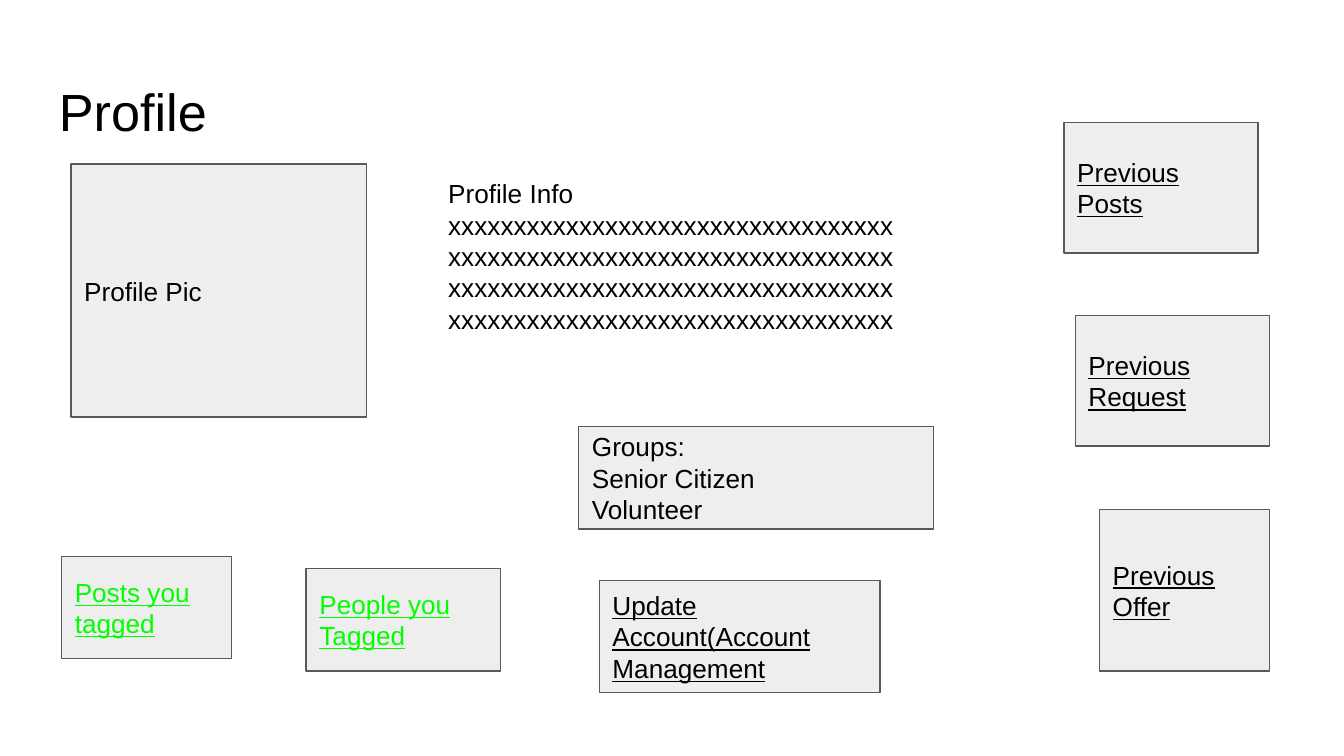
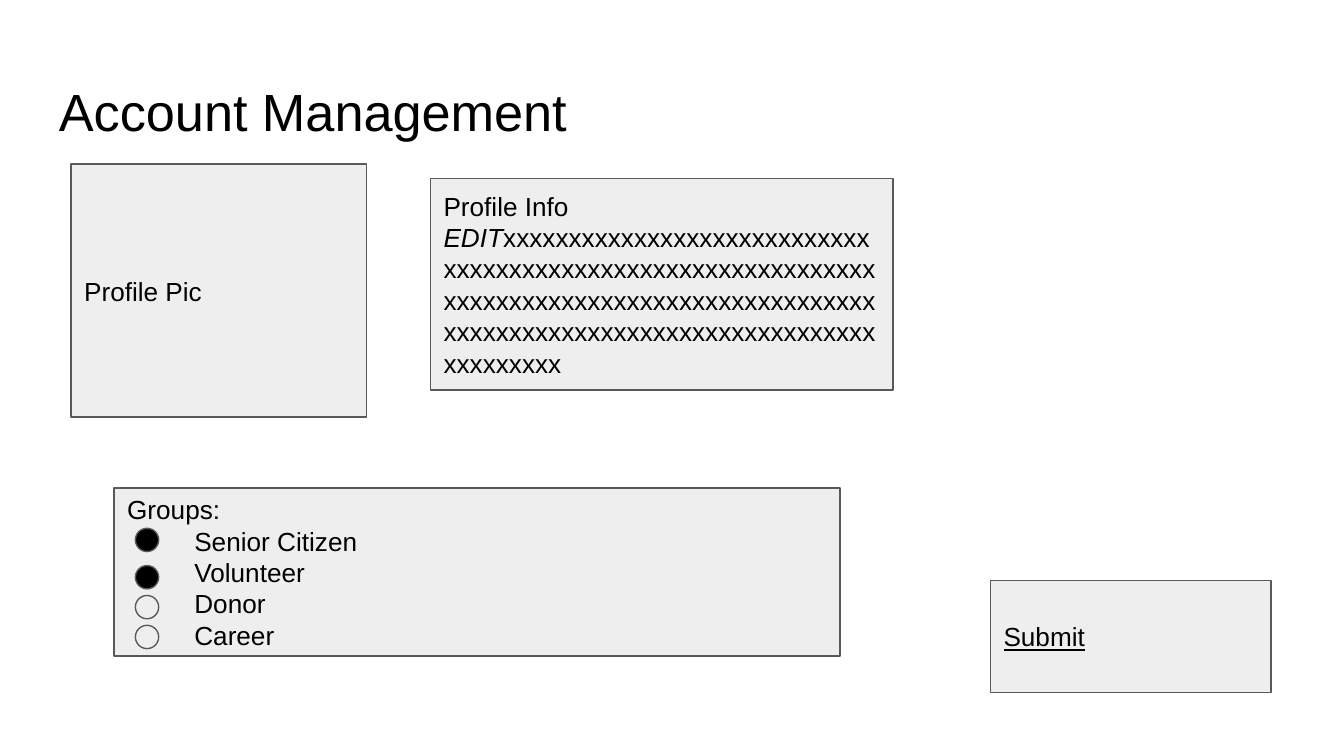
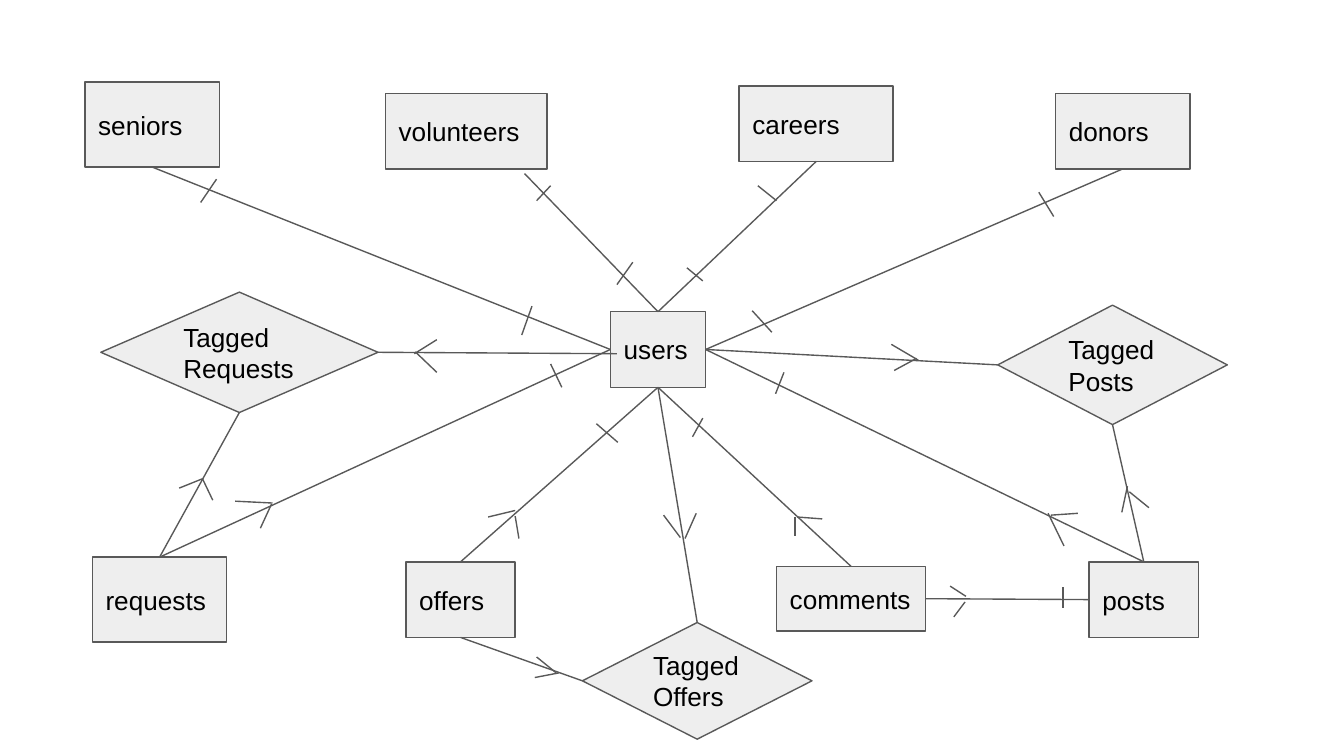
from pptx import Presentation
from pptx.dml.color import RGBColor
from pptx.enum.shapes import MSO_CONNECTOR, MSO_SHAPE
from pptx.enum.text import MSO_ANCHOR, PP_ALIGN
from pptx.oxml.ns import qn
from pptx.util import Pt
from lxml.etree import SubElement

FONT = "Arial"
BLACK, GREEN, GREY, LINE = "000000", "00FF00", "EEEEEE", "595959"
LINK = {"underline": True}
TAG_LINK = {"underline": True, "color": GREEN}

TITLE_AT = (24.5, 35.5, 671, 45)
PIC = ("Profile Pic", (38, 88, 158.5, 135.5), {})
INFO = "x" * 136

PROFILE_INFO = ("Profile Info " + INFO, (233, 88, 253.5, 106))
PROFILE_BOXES = [
    ("People you Tagged", (164, 304.5, 104, 55), TAG_LINK),
    ("Posts you tagged", (33, 298, 91, 55), TAG_LINK),
    PIC,
    ("Previous Posts", (570, 65.5, 104, 70), LINK),
    ("Previous Request", (576, 169, 104, 70), LINK),
    ("Previous Offer", (589, 273, 91, 86.5), LINK),
    ("Groups:\nSenior Citizen\nVolunteer", (310, 228.5, 190, 55), {}),
    ("Update Account(Account Management", (321, 311, 150.5, 60), LINK),
]

ACCOUNT_BOXES = [
    PIC,
    ("Groups:\nSenior Citizen\nVolunteer\nDonor\nCareer", (61, 261.5, 389, 90),
     {"indent": 36}),
    ("Submit", (530.5, 311, 150.5, 60), LINK),
    ("Profile Info\nEDIT" + INFO, (230.5, 95.5, 248, 113.5), {"italic": "EDIT"}),
]
RADIO_X, RADIO_SIZE = 72.5, 12.5
RADIOS = [(283, BLACK), (303, BLACK), (319, GREY), (335, GREY)]  # top, fill

ENTITIES = {
    "users": (327, 167, 51, 40.5),
    "volunteers": (206.5, 50, 86.5, 40.5),
    "seniors": (45.5, 44, 72, 45.5),
    "comments": (416, 303.5, 80, 34.5),
    "requests": (49.5, 298.5, 72, 45.5),
    "offers": (217.5, 301, 58.5, 40.5),
    "donors": (565.5, 50, 72, 40.5),
    "posts": (583.5, 301, 58.5, 40.5),
    "careers": (396, 46, 82.5, 40.5),
}
TAGGED = {
    "Tagged\nRequests": (54, 156.5, 148.5, 64.5),
    "Tagged\nOffers": (312, 333.5, 123, 62.5),
    "Tagged\nPosts": (534.5, 163.5, 123, 64),
}
# An end is (entity, side) or a free point (x, y).
RELATIONS = [
    (("seniors", "bottom"), ("users", "left")),
    ((281, 93), ("users", "top")),
    (("users", "left"), ("requests", "top")),
    (("users", "bottom"), ("offers", "top")),
    (("users", "top"), ("careers", "bottom")),
    (("users", "bottom"), ("comments", "top")),
    (("users", "right"), ("posts", "top")),
    (("users", "right"), ("donors", "bottom")),
    (("comments", "right"), ("posts", "left")),
    (("Tagged\nRequests", "bottom"), ("requests", "top")),
    (("Tagged\nRequests", "right"), (330.5, 189.5)),
    (("users", "bottom"), ("Tagged\nOffers", "top")),
    (("users", "right"), ("Tagged\nPosts", "left")),
    (("Tagged\nPosts", "bottom"), ("posts", "top")),
    (("offers", "bottom"), ("Tagged\nOffers", "left")),
]
ONE_MARKS = [
    (295, 195, 301, 207.5), (319.5, 227, 331, 237), (371, 234, 376.5, 224),
    (330.5, 152.5, 339, 140.5), (287.5, 107.5, 295, 99.5), (107.5, 108.5, 116, 96),
    (279.5, 179.5, 285, 164), (368, 143.5, 376.5, 150.5), (406, 99.5, 416, 107.5),
    (556.5, 103, 564.5, 116), (403, 166.5, 413.5, 178), (415.5, 211, 420, 199.5),
    (569.5, 314.5, 569.5, 325.5),
]
MANY_MARKS = [  # two strokes each
    (126, 268.5, 146, 269.5), (145.5, 270, 139.5, 283),
    (261.5, 277, 276, 273.5), (276, 276.5, 278, 288.5),
    (561.5, 275, 570, 292.5), (563, 276, 577.5, 275),
    (426, 277, 426, 287), (427, 277, 440.5, 278),
    (509, 314, 517.5, 319.5), (517, 322.5, 511, 330.5),
    (96, 261.5, 108.5, 256.5), (108.5, 256.5, 114, 268),
    (234, 182, 222, 189.5), (222.5, 188.5, 234, 199.5),
    (287.5, 352, 298, 360.5), (299.5, 360.5, 286.5, 363),
    (355.5, 276, 364.5, 288), (367, 288.5, 373, 275),
    (477.5, 184.5, 492, 193), (491, 192, 479, 198.5),
    (604, 260.5, 601, 274.5), (605, 263.5, 615.5, 272),
]
SIDES = ["top", "left", "bottom", "right"]  # order of connection sites


def rgb(value):
    return RGBColor.from_string(value)


def points(values):
    return [Pt(v) for v in values]


def put_text(s, text, size=14, color=BLACK, underline=None, italic="", indent=0,
             anchor=MSO_ANCHOR.MIDDLE):
    """Write one paragraph per line; italic is a line's slanted start, indent skips line one."""
    tf = s.text_frame
    tf.word_wrap = True
    tf.vertical_anchor = anchor
    tf.margin_left = tf.margin_right = tf.margin_top = tf.margin_bottom = Pt(7.2)
    for i, line in enumerate(text.split("\n")):
        p = tf.add_paragraph() if i else tf.paragraphs[0]
        p.alignment = PP_ALIGN.LEFT
        if i and indent:
            p._p.get_or_add_pPr().set("indent", str(Pt(indent)))
        slanted = italic if line.startswith(italic) else ""
        for part in filter(None, (slanted, line[len(slanted):])):
            r = p.add_run()
            r.text = part
            r.font.name, r.font.size = FONT, Pt(size)
            r.font.color.rgb = rgb(color)
            r.font.underline = underline
            r.font.italic = bool(slanted) and part == slanted


def add_text(slide, text, at, **fmt):
    put_text(slide.shapes.add_textbox(*points(at)), text, anchor=MSO_ANCHOR.TOP, **fmt)


def add_box(slide, at, text="", kind=MSO_SHAPE.RECTANGLE, fill=GREY, **fmt):
    s = slide.shapes.add_shape(kind, *points(at))
    s.shadow.inherit = False
    s.fill.solid()
    s.fill.fore_color.rgb = rgb(fill)
    s.line.color.rgb = rgb(LINE)
    s.line.width = Pt(0.75)
    if text:
        put_text(s, text, **fmt)
    return s


def add_line(slide, ends):
    c = slide.shapes.add_connector(MSO_CONNECTOR.STRAIGHT, *points(ends))
    c.line.color.rgb = rgb(LINE)
    c.line.width = Pt(0.75)
    SubElement(c._element.spPr, qn("a:effectLst"))
    return c


def relate(slide, nodes, start, end):
    c = add_line(slide, (0, 0, 0, 0))
    (c.begin_x, c.begin_y), (c.end_x, c.end_y) = [
        (0, 0) if e[0] in nodes else points(e) for e in (start, end)]
    for (name, side), connect in ((start, c.begin_connect), (end, c.end_connect)):
        if name in nodes:
            connect(nodes[name], SIDES.index(side))


def add_page(prs, title="", boxes=()):
    slide = prs.slides.add_slide(prs.slide_layouts[6])
    if title:
        add_text(slide, title, TITLE_AT, size=28)
    for text, at, fmt in boxes:
        add_box(slide, at, text, **fmt)
    return slide


def build_diagram(prs):
    slide = add_page(prs)
    nodes = {name: add_box(slide, at, name) for name, at in ENTITIES.items()}
    for name, at in TAGGED.items():
        nodes[name] = add_box(slide, at, name, MSO_SHAPE.DIAMOND)
    for start, end in RELATIONS:
        relate(slide, nodes, start, end)
    for mark in ONE_MARKS + MANY_MARKS:
        add_line(slide, mark)


def main():
    prs = Presentation()
    prs.slide_width, prs.slide_height = Pt(720), Pt(405)
    add_text(add_page(prs, "Profile", PROFILE_BOXES), *PROFILE_INFO)
    account = add_page(prs, "Account Management", ACCOUNT_BOXES)
    for top, fill in RADIOS:
        add_box(account, (RADIO_X, top, RADIO_SIZE, RADIO_SIZE), kind=MSO_SHAPE.OVAL, fill=fill)
    build_diagram(prs)
    prs.save("out.pptx")


if __name__ == "__main__":
    main()
